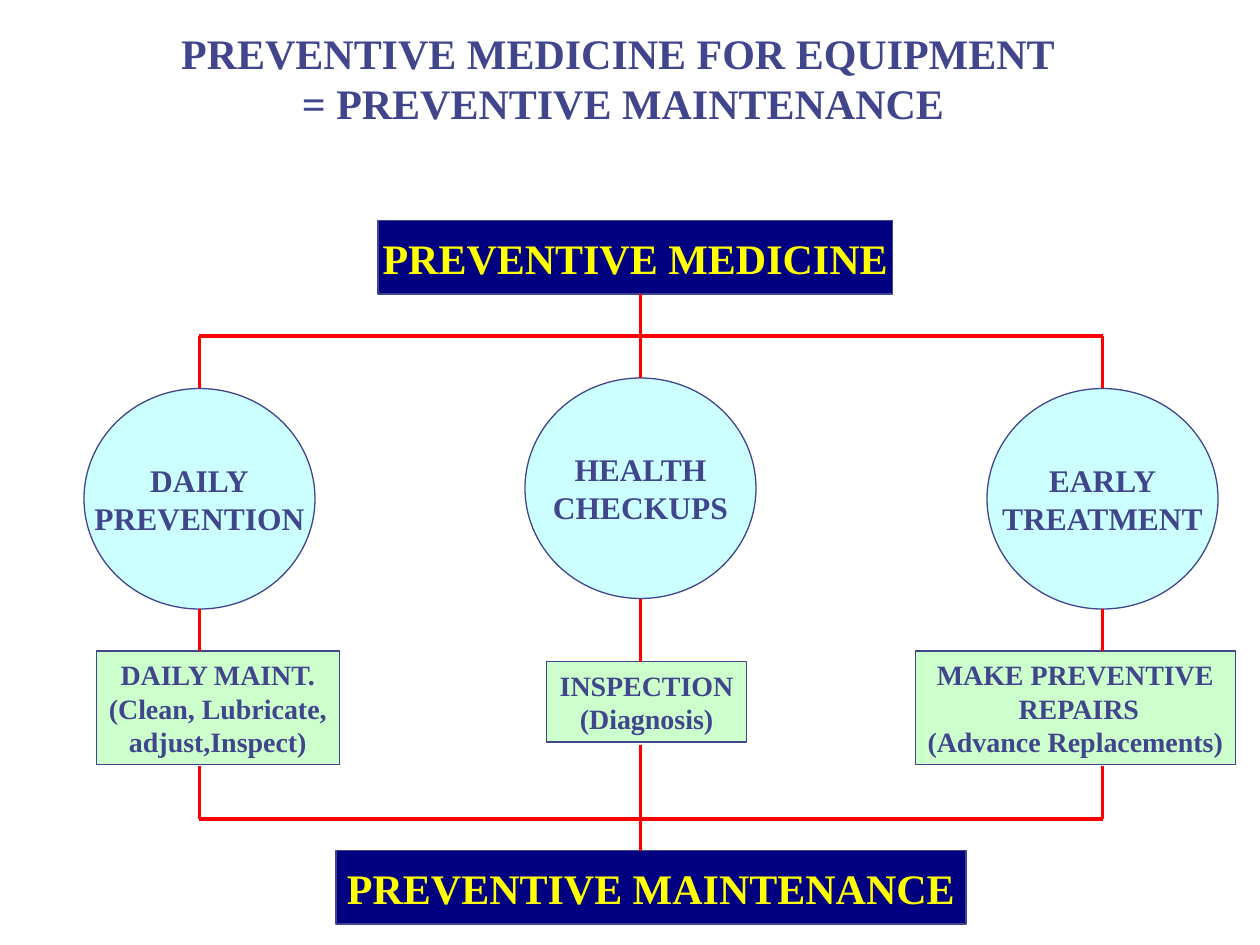
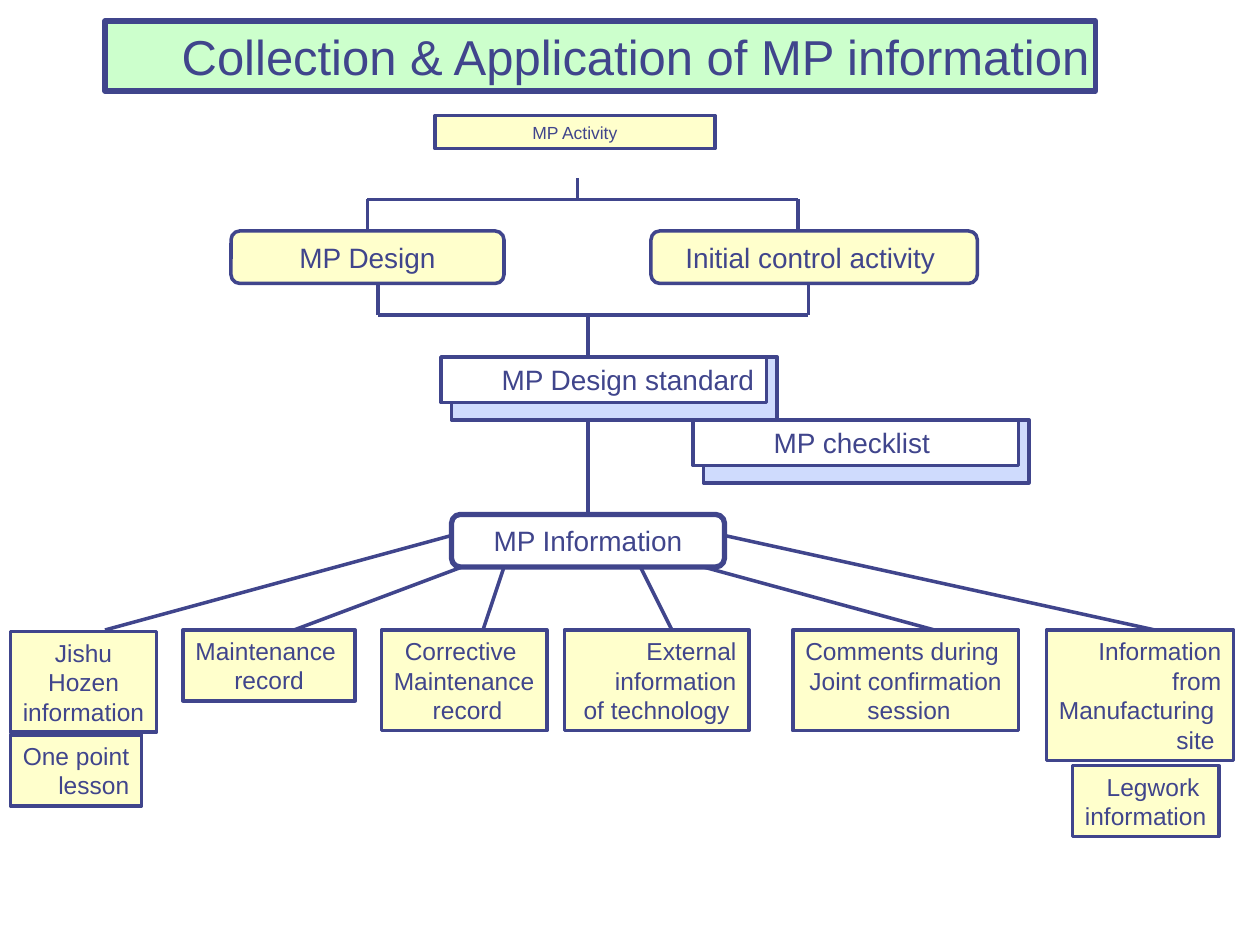
"""Build two slides on preventive maintenance and the use of MP information."""
from lxml.etree import SubElement
from pptx import Presentation
from pptx.dml.color import RGBColor
from pptx.enum.shapes import MSO_CONNECTOR, MSO_SHAPE
from pptx.enum.text import MSO_ANCHOR, MSO_AUTO_SIZE, PP_ALIGN
from pptx.oxml.ns import qn
from pptx.util import Pt

COLORS = {
    "ink": "40458C", "navy": "000080", "yellow": "FFFF00", "red": "FF0000",
    "aqua": "CCFFFF", "green": "CCFFCC", "cream": "FFFFCC",
    "blue": "CFDBFD", "white": "FFFFFF",
}
SERIF = {"name": "Times New Roman", "bold": True}
SANS = {"name": "Arial", "bold": False}
CENTER, RIGHT = PP_ALIGN.CENTER, PP_ALIGN.RIGHT
RECT, ROUND, OVAL = MSO_SHAPE.RECTANGLE, MSO_SHAPE.ROUNDED_RECTANGLE, MSO_SHAPE.OVAL


def rgb(key):
    return RGBColor.from_string(COLORS[key])


def paint(sp, fill, width):
    if fill:
        sp.fill.solid()
        sp.fill.fore_color.rgb = rgb(fill)
    else:
        sp.fill.background()
    sp.line.color.rgb = rgb("ink")
    sp.line.width = Pt(width)


def write(sp, text, font, size, color="ink", align=CENTER):
    tf = sp.text_frame
    frame = {"auto_size": MSO_AUTO_SIZE.NONE, "word_wrap": False,
             "vertical_anchor": MSO_ANCHOR.MIDDLE}
    for key, value in frame.items():
        setattr(tf, key, value)
    tf.text = text
    for p in tf.paragraphs:
        p.alignment = align
        for key, value in {**font, "size": Pt(size)}.items():
            setattr(p.font, key, value)
        p.font.color.rgb = rgb(color)


def add_title(slide, text, box, font, size, align=CENTER):
    sp = slide.shapes.title
    for key, value in zip(("left", "top", "width", "height"), box):
        setattr(sp, key, Pt(value))
    write(sp, text, font, size, align=align)
    return sp


def add_box(slide, kind, box, fill, width):
    sp = slide.shapes.add_shape(kind, *map(Pt, box))
    sp.shadow.inherit = False
    if kind == ROUND:
        sp.adjustments[0] = 0.167
    paint(sp, fill, width)
    return sp


def add_line(slide, x1, y1, x2, y2, color, width):
    sp = slide.shapes.add_connector(MSO_CONNECTOR.STRAIGHT, *map(Pt, (x1, y1, x2, y2)))
    sp.line.color.rgb = rgb(color)
    sp.line.width = Pt(width)
    SubElement(sp._element.spPr, qn("a:effectLst"))


def add_lines(slide, lines, color, width):
    for ends in lines:
        add_line(slide, *ends, color, width)


def build_medicine(slide):
    add_title(slide, "PREVENTIVE MEDICINE FOR EQUIPMENT \n= PREVENTIVE MAINTENANCE",
              (96, 12, 520, 65), SERIF, 24)
    banners = [("PREVENTIVE MEDICINE", (216, 126, 294, 42)),
               ("PREVENTIVE MAINTENANCE", (192, 486, 360, 42))]
    for text, box in banners:
        write(add_box(slide, RECT, box, "navy", 0.75), text, SERIF, 24, "yellow")

    left, middle, right = 114, 366, 630
    upper_bus, lower_bus = 192, 468
    circle_w, circle_h = 132, 126
    columns = [
        (left, 222, "DAILY\nPREVENTION", (55, 372, 139, 65),
         "DAILY MAINT.\n(Clean, Lubricate,\nadjust,Inspect)", upper_bus, 438, lower_bus),
        (middle, 216, "HEALTH\nCHECKUPS", (312.5, 378, 114, 46),
         "INSPECTION\n(Diagnosis)", 168, 426, 486),
        (right, 222, "EARLY\nTREATMENT", (523, 372, 183, 65),
         "MAKE PREVENTIVE\n REPAIRS\n(Advance Replacements)", upper_bus, 438, lower_bus),
    ]
    for x, top, stage, note_box, note, start, resume, end in columns:
        circle = add_box(slide, OVAL, (x - circle_w / 2, top, circle_w, circle_h), "aqua", 0.75)
        write(circle, stage, SERIF, 18)
        write(add_box(slide, RECT, note_box, "green", 0.75), note, SERIF, 16)
        spans = [(start, top), (top + circle_h, note_box[1]), (resume, end)]
        add_lines(slide, [(x, y1, x, y2) for y1, y2 in spans], "red", 2.25)
    add_lines(slide, [(left, y, right, y) for y in (upper_bus, lower_bus)], "red", 2.25)


def build_information(slide):
    title = add_title(slide, "Collection & Application of MP information",
                      (60, 12, 566, 40), SANS, 28, RIGHT)
    title.text_frame.margin_right = Pt(3.6)
    paint(title, "green", 3)

    write(add_box(slide, RECT, (248.5, 66, 160, 19), "cream", 2), "MP Activity", SANS, 10)
    stages = [("MP Design", (132, 132, 156, 30), "cream", 2),
              ("Initial control activity ", (372, 132, 186.5, 30), "cream", 2),
              ("MP Information", (258, 294, 156, 30), None, 3)]
    for text, box, fill, width in stages:
        write(add_box(slide, ROUND, box, fill, width), text, SANS, 16)

    sheets = [("MP Design standard", 252, 204, RIGHT), ("MP checklist ", 396, 240, CENTER)]
    for text, x, y, align in sheets:
        add_box(slide, RECT, (x + 6, y, 186, 36), "blue", 2)
        write(add_box(slide, RECT, (x, y, 186, 26), "white", 2), text, SANS, 16, align=align)

    sources = [
        ("Jishu\n Hozen \ninformation", (6, 361, 83.5, 57.5), CENTER),
        ("Maintenance \nrecord", (104.5, 360, 98.5, 40.5), CENTER),
        ("Corrective \nMaintenance\n record", (218, 360, 94.5, 57.5), CENTER),
        ("External\n information\n of technology ", (322.5, 360, 105.5, 57.5), RIGHT),
        ("Comments during \nJoint confirmation\n session", (453, 360, 129, 57.5), CENTER),
        ("Information\n from\nManufacturing \nsite ", (598, 360, 107, 74.5), RIGHT),
        ("Legwork \ninformation", (613, 437.5, 83.5, 40.5), RIGHT),
        ("One point\nlesson", (6, 420, 75, 40.5), RIGHT),
    ]
    for text, box, align in sources:
        write(add_box(slide, RECT, box, "cream", 2), text, SANS, 14, align=align)

    brackets = [(210, 456, 114, 132), (216, 462, 180, 162)]
    for x1, x2, bus, end in brackets:
        add_lines(slide, [(x1, bus, x2, bus), (x1, bus, x1, end), (x2, bus, x2, end)], "ink", 2)
    stems = [(330, 102, 114), (336, 180, 204), (336, 240, 294)]
    add_lines(slide, [(x, y1, x, y2) for x, y1, y2 in stems], "ink", 2)
    fan = [(258, 306, 60), (264, 324, 168), (288, 324, 276),
           (366, 324, 384), (402, 324, 534), (414, 306, 660)]
    add_lines(slide, [(x1, y, x2, 360) for x1, y, x2 in fan], "ink", 2)


def main():
    prs = Presentation()
    prs.slide_width, prs.slide_height = Pt(720), Pt(540)
    for build in (build_medicine, build_information):
        build(prs.slides.add_slide(prs.slide_layouts[5]))
    prs.save("out.pptx")


if __name__ == "__main__":
    main()
